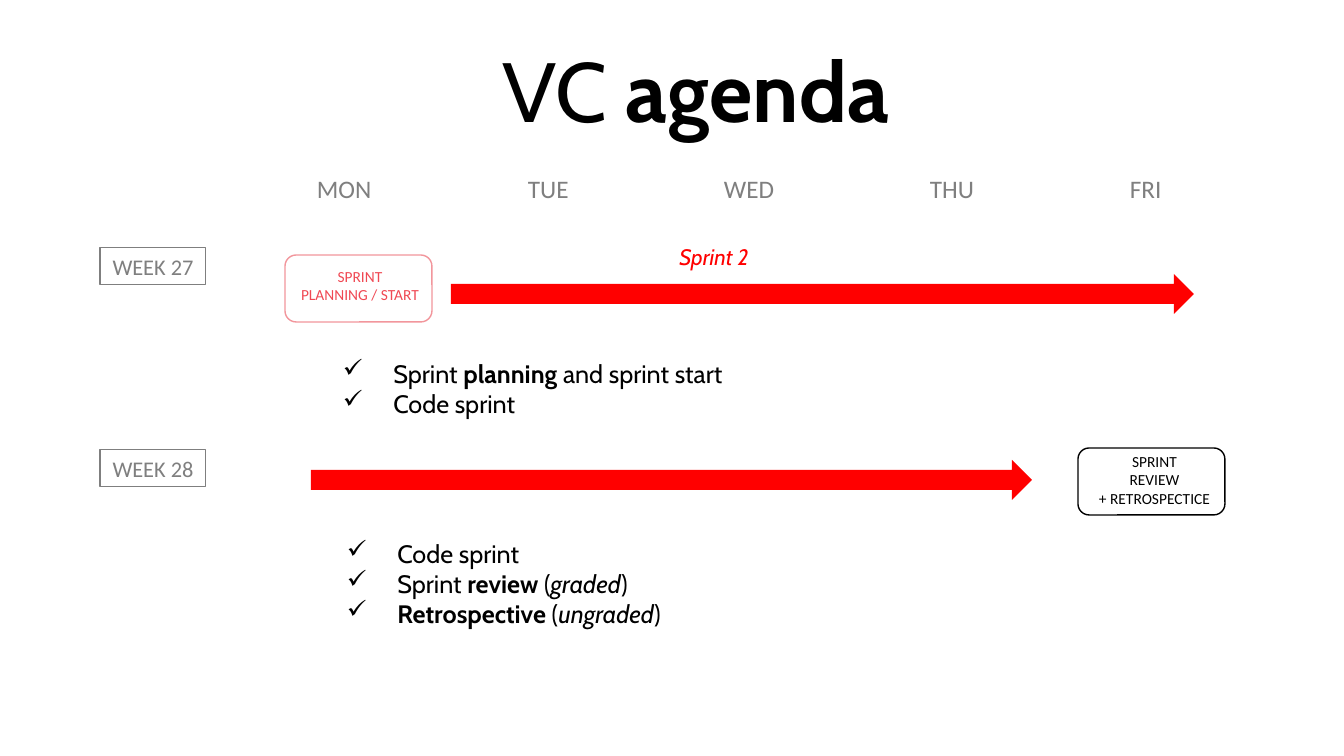
import pptx
import pptx.dml.color
import pptx.enum.shapes
import pptx.enum.text
import pptx.oxml
import pptx.oxml.ns
import pptx.util

SHAPES = pptx.enum.shapes.MSO_SHAPE
ALIGN = pptx.enum.text.PP_ALIGN
ANCHOR = pptx.enum.text.MSO_ANCHOR
EMU_PER_PX = 914400 / 100.8
GREY, RED, BLACK = "7F7F7F", "FF0000", "000000"

TITLE = [[("VC ", ""), ("agenda", "b")]]
TITLE_BOX = (492, 33, 410, 112)

DAYS = [("MON", 307, 76), ("TUE", 518, 61), ("WED", 714, 72),
        ("THU", 920, 65), ("FRI", 1120, 52)]
DAY_TOP, DAY_HEIGHT = 168, 40

WEEKS = [("WEEK 27", 248), ("WEEK 28", 450)]
WEEK_LEFT, WEEK_WIDTH, WEEK_HEIGHT = 100, 106, 37

ARROWS = [(451, 274, 743, 40), (311, 460, 721, 40)]
SPRINT_LABEL = [[("Sprint 2", "i")]]
SPRINT_LABEL_BOX = (639, 238, 150, 37)

EVENTS = [
    (["SPRINT", "PLANNING / START"], (285, 255), (282, 262, 156, 47), "F2969C", "F04853"),
    (["SPRINT", "REVIEW", "+ RETROSPECTICE"], (1078, 448), (1075, 447, 159, 67), BLACK, BLACK),
]
EVENT_SIZE = (147, 67)

TASKS = [
    ((333, 353, 586, 72), [
        [("Sprint ", ""), ("planning", "b"), (" and sprint start", "")],
        [("Code sprint", "")],
    ]),
    ((337, 533, 586, 102), [
        [("Code sprint", "")],
        [("Sprint ", ""), ("review", "b"), (" (", ""), ("graded", "i"), (")", "")],
        [("Retrospective", "b"), (" (", ""), ("ungraded", "i"), (")", "")],
    ]),
]


def px(n):
    return pptx.util.Emu(round(n * EMU_PER_PX))


def rgb(value):
    return pptx.dml.color.RGBColor.from_string(value)


def plain(*lines):
    return [[(line, "")] for line in lines]


def write(sp, paragraphs, size, font, color, align=ALIGN.LEFT, wrap=True):
    tf = sp.text_frame
    tf.word_wrap = wrap
    tf.auto_size = pptx.enum.text.MSO_AUTO_SIZE.NONE
    tf.margin_left = tf.margin_right = pptx.util.Inches(0.1)
    tf.margin_top = tf.margin_bottom = pptx.util.Inches(0.05)
    for i, parts in enumerate(paragraphs):
        p = tf.add_paragraph() if i else tf.paragraphs[0]
        p.alignment = align
        for text, style in parts:
            r = p.add_run()
            r.text = text
            r.font.size = pptx.util.Pt(size)
            r.font.name = font
            r.font.color.rgb = rgb(color)
            r.font.bold = style == "b"
            r.font.italic = style == "i"
    return tf


def add_text(s, box, *args, **kwargs):
    sp = s.shapes.add_textbox(*map(px, box))
    return write(sp, *args, **kwargs)


def add_shape(s, kind, box, fill=None, line=None, width=1):
    sp = s.shapes.add_shape(kind, *map(px, box))
    sp.shadow.inherit = False
    if fill:
        sp.fill.solid()
        sp.fill.fore_color.rgb = rgb(fill)
    else:
        sp.fill.background()
    if line:
        sp.line.color.rgb = rgb(line)
        sp.line.width = pptx.util.Pt(width)
    else:
        sp.line.fill.background()
    return sp


def add_checks(tf):
    indent = pptx.util.Inches(0.5)
    for p in tf.paragraphs:
        props = p._p.get_or_add_pPr()
        props.set("marL", str(indent))
        props.set("indent", str(-indent))
        bullet = pptx.oxml.parse_xml(
            f'<a:buChar {pptx.oxml.ns.nsdecls("a")} char="✓"/>')
        props.append(bullet)


def main():
    prs = pptx.Presentation()
    prs.slide_width, prs.slide_height = px(1344), px(756)
    s = prs.slides.add_slide(prs.slide_layouts[5])

    title = s.shapes.title
    title.left, title.top, title.width, title.height = map(px, TITLE_BOX)
    tf = write(title, TITLE, 60, "Cabin", BLACK, wrap=False)
    tf.vertical_anchor = ANCHOR.TOP

    for name, top in WEEKS:
        box = (WEEK_LEFT, top, WEEK_WIDTH, WEEK_HEIGHT)
        sp = add_shape(s, SHAPES.RECTANGLE, box, line=GREY, width=0.75)
        write(sp, plain(name), 16, "Calibri", GREY, ALIGN.CENTER, wrap=False)

    for name, left, width in DAYS:
        add_text(s, (left, DAY_TOP, width, DAY_HEIGHT), plain(name),
                 18, "Calibri", GREY, wrap=False)

    for box in ARROWS:
        add_shape(s, SHAPES.RIGHT_ARROW, box, fill=RED)
    add_text(s, SPRINT_LABEL_BOX, SPRINT_LABEL, 16, "Cabin", RED, ALIGN.CENTER)

    for lines, corner, text_box, border, color in EVENTS:
        add_shape(s, SHAPES.ROUNDED_RECTANGLE, corner + EVENT_SIZE, line=border)
        add_text(s, text_box, plain(*lines), 11, "Calibri", color, ALIGN.CENTER)

    for box, paragraphs in TASKS:
        add_checks(add_text(s, box, paragraphs, 18, "Cabin", BLACK))

    prs.save("out.pptx")


if __name__ == "__main__":
    main()
